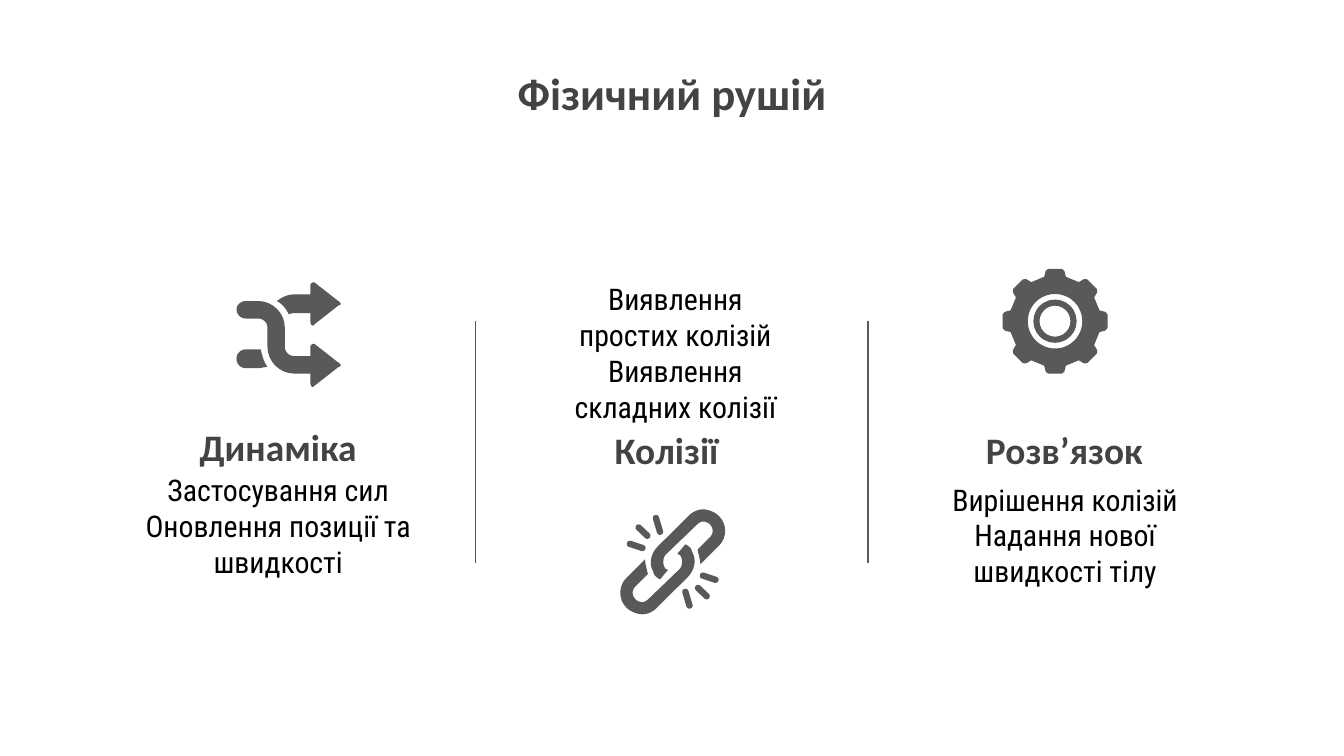
import math
from dataclasses import dataclass
from typing import Optional

from lxml import etree
from pptx import Presentation
from pptx.dml.color import RGBColor
from pptx.enum.shapes import MSO_CONNECTOR, MSO_SHAPE
from pptx.enum.text import MSO_ANCHOR, MSO_AUTO_SIZE, PP_ALIGN
from pptx.oxml.ns import qn
from pptx.util import Pt

STRAIGHT = MSO_CONNECTOR.STRAIGHT
DONUT = MSO_SHAPE.DONUT
TOP, BOTTOM = MSO_ANCHOR.TOP, MSO_ANCHOR.BOTTOM
CENTER = PP_ALIGN.CENTER
NO_AUTOFIT = MSO_AUTO_SIZE.NONE
COMPARISON_LAYOUT = 4


@dataclass(frozen=True)
class TextStyle:
    font: str
    size: float
    color: RGBColor
    bold: bool
    anchor: MSO_ANCHOR


@dataclass(frozen=True)
class Theme:
    icon = RGBColor(0x59, 0x59, 0x59)
    heading_color = RGBColor(0x43, 0x43, 0x43)
    title = TextStyle("Calibri", 24, heading_color, True, TOP)
    heading = TextStyle("Calibri", 20, heading_color, True, BOTTOM)
    body = TextStyle("Roboto Condensed", 16, RGBColor(0, 0, 0), False, TOP)
    divider_width = 0.75
    inset = 7.2


@dataclass(frozen=True)
class Box:
    left: float
    top: float
    width: float
    height: float


@dataclass(frozen=True)
class Column:
    heading: str
    heading_box: Box
    paragraphs: tuple
    body_box: Box
    heading_slot: Optional[int] = None
    body_slot: Optional[int] = None


THEME = Theme()
COLUMNS = (
    Column("Динаміка", Box(43.9, 224.6, 210.2, 33.8),
           ("Застосування сил\nОновлення позиції та швидкості",),
           Box(68.4, 245.5, 161.3, 79.2), 1, 2),
    Column("Колізії", Box(252, 226.1, 210.2, 33.8),
           ("Виявлення\nпростих колізій", "Виявлення\nскладних колізії"),
           Box(270.7, 143.3, 182.2, 82.1), 3, 4),
    Column("Розв’язок", Box(465.1, 226.1, 210.2, 33.8),
           ("Вирішення колізій", "Надання нової швидкості тілу"),
           Box(483.1, 250.6, 175, 79.2)),
)
DIVIDERS_X, DIVIDER_TOP, DIVIDER_BOTTOM = (254.9, 465.1), 172.1, 301.7

# Outlines are in points from the icon's centre: pairs are corners, sixes are cubic curves.
SHUFFLE_CENTER = (154.8, 179.3)
ARROW_HEAD = (
    (11.5, 25.9), (11.5, 27.4, 12.2, 28.1, 13, 28.1), (13.7, 27.4),
    (26.6, 17.3), (28.1, 17.3, 28.1, 15.8, 26.6, 15.1),
    (13.7, 5), (13, 5), (12.2, 5, 11.5, 5.8, 11.5, 6.5),
)
UPPER_HEAD = tuple(tuple(v - 33 * (i % 2) for i, v in enumerate(step)) for step in ARROW_HEAD)
SHUFFLE = (
    ((-23, -18), (-25.9, -18, -28.1, -15.8, -28.1, -13.7),
     (-28.1, -10.8, -25.9, -8.6, -23, -8.6), (-16.6, -8.6),
     (-13.7, -8.6, -11.5, -6.5, -11.5, -3.6), (-11.5, 6.5),
     (-11.5, 14.4, -5, 20.9, 2.9, 20.9), (11.5, 20.9), *ARROW_HEAD,
     (11.5, 11.5), (2.9, 11.5), (0, 11.5, -2.2, 9.4, -2.2, 6.5),
     (-2.2, -3.6), (-2.2, -11.5, -8.6, -18, -16.6, -18)),
    ((-15.1, 7.9), (-23, 7.9), (-25.9, 7.9, -28.1, 10.1, -28.1, 13),
     (-28.1, 15.8, -25.9, 18, -23, 18), (-16.6, 18),
     (-15.1, 18, -13, 17.3, -11.5, 17.3), (-13.7, 14.4, -14.4, 10.8, -15.1, 7.9)),
    ((-6.5, -18), (-3.6, -16.6, -1.4, -13.7, 0, -10.8),
     (0.7, -11.5, 2.2, -11.5, 2.9, -11.5), (11.5, -11.5), *UPPER_HEAD,
     (11.5, -21.6), (2.9, -21.6), (-0.7, -21.6, -3.6, -20.2, -6.5, -18)),
)
CHAIN_CENTER = (360.4, 301)
CHAIN_LINK = (
    (16.2, -28.1), (13.3, -28.1, 10.4, -26.6, 8.3, -24.5), (-8.3, -7.9),
    (-11.2, -5, -12.6, 0, -11.2, 3.6), (-10.4, 5, -10.4, 5.8, -9.7, 7.2),
    (-9, 7.9, -8.3, 8.6, -6.8, 9.4), (-2.5, 4.3), (-4, 3.6),
    (-5.4, 1.4, -5.4, -1.4, -4, -3.6), (13.3, -20.2),
    (14, -20.9, 15.5, -21.6, 16.2, -21.6), (17.6, -21.6, 19.1, -20.9, 19.8, -20.2),
    (22, -18, 22, -15.1, 19.8, -13), (13.3, -6.5),
    (14, -3.6, 14.8, -0.7, 14.8, 1.4), (24.8, -8.6),
    (29.2, -13, 29.2, -20.2, 24.8, -24.5), (22.7, -26.6, 19.1, -28.1, 16.2, -28.1),
)
RAYS = (((13.6, 14), (18.2, 18.4)), ((16.2, 7.4), (22.9, 9.6)), ((6.8, 16.1), (9, 23.4)))
RAY_RADIUS = 1.7
GEAR_CENTER = (565.2, 172.1)
TOOTH = ((-5.8, -23.8), (-5, -27), (-3.6, -28.1), (3.6, -28.1), (5, -27), (5.8, -23.8))
TOOTH_COUNT = 8
GEAR_HOLE, RING_OUTER, RING_INNER = 14.6, 11.6, 8.3


def flatten(outline, steps: int = 8) -> list:
    """Turn corners and cubic curves into a list of points."""
    points = [outline[0]]
    for step in outline[1:]:
        if len(step) == 2:
            points.append(step)
            continue
        x0, y0 = points[-1]
        x1, y1, x2, y2, x3, y3 = step
        for t in (i / steps for i in range(1, steps + 1)):
            a, b, c, d = (1 - t) ** 3, 3 * t * (1 - t) ** 2, 3 * t * t * (1 - t), t ** 3
            points.append((a * x0 + b * x1 + c * x2 + d * x3, a * y0 + b * y1 + c * y2 + d * y3))
    return points


def arc(center: tuple, radius: float, start: float, sweep: float, steps: int) -> list:
    angles = (start + sweep * i / steps for i in range(steps + 1))
    return [(center[0] + radius * math.cos(a), center[1] + radius * math.sin(a)) for a in angles]


def capsule(start: tuple, end: tuple) -> list:
    angle = math.atan2(end[1] - start[1], end[0] - start[0]) + math.pi / 2
    return (arc(start, RAY_RADIUS, angle, math.pi, 8)
            + arc(end, RAY_RADIUS, angle + math.pi, math.pi, 8))


def rotate(points, angle: float) -> list:
    c, s = math.cos(angle), math.sin(angle)
    return [(x * c - y * s, x * s + y * c) for x, y in points]


def paint(shape):
    shape.shadow.inherit = False
    shape.fill.solid()
    shape.fill.fore_color.rgb = THEME.icon
    shape.line.fill.background()
    return shape


def draw_outline(slide, center: tuple, *contours):
    """Draw one filled freeform; contours after the first cut holes."""
    builder = None
    for contour in contours:
        placed = [(Pt(center[0] + x), Pt(center[1] + y)) for x, y in contour]
        if builder is None:
            builder = slide.shapes.build_freeform(*placed[0], scale=1.0)
        else:
            builder.move_to(*placed[0])
        builder.add_line_segments(placed[1:], close=True)
    return paint(builder.convert_to_shape())


def draw_shuffle(slide) -> None:
    parts = [draw_outline(slide, SHUFFLE_CENTER, flatten(outline)) for outline in SHUFFLE]
    slide.shapes.add_group_shape(parts)


def draw_chain(slide) -> None:
    halves = [capsule(*ray) for ray in RAYS] + [flatten(CHAIN_LINK)]
    parts = [draw_outline(slide, CHAIN_CENTER, rotate(half, angle))
             for angle in (0, math.pi) for half in halves]
    slide.shapes.add_group_shape(parts)


def draw_gear(slide) -> None:
    rim = [point for i in range(TOOTH_COUNT)
           for point in rotate(TOOTH, math.tau * i / TOOTH_COUNT)]
    wheel = draw_outline(slide, GEAR_CENTER, rim, arc((0, 0), GEAR_HOLE, 0, -math.tau, 48))
    x, y = GEAR_CENTER
    ring = paint(slide.shapes.add_shape(DONUT, Pt(x - RING_OUTER), Pt(y - RING_OUTER),
                                        Pt(2 * RING_OUTER), Pt(2 * RING_OUTER)))
    ring.adjustments[0] = (RING_OUTER - RING_INNER) / (2 * RING_OUTER)
    slide.shapes.add_group_shape([wheel, ring])


def write_text(slide, box: Box, paragraphs: tuple, style: TextStyle, slot: Optional[int]) -> None:
    """Fill the placeholder with index slot, or a new text box when there is none."""
    place = Pt(box.left), Pt(box.top), Pt(box.width), Pt(box.height)
    if slot is None:
        holder = slide.shapes.add_textbox(*place)
    else:
        holder = next(p for p in slide.placeholders if p.placeholder_format.idx == slot)
        holder.left, holder.top, holder.width, holder.height = place
    frame = holder.text_frame
    frame.word_wrap, frame.auto_size = True, NO_AUTOFIT
    frame.vertical_anchor = style.anchor
    frame.margin_left = frame.margin_right = Pt(THEME.inset)
    frame.margin_top = frame.margin_bottom = Pt(THEME.inset)
    for number, text in enumerate(paragraphs):
        paragraph = frame.add_paragraph() if number else frame.paragraphs[0]
        paragraph.alignment = CENTER
        paragraph.space_before = paragraph.space_after = Pt(0)
        paragraph.line_spacing = 1.0
        properties = paragraph._p.get_or_add_pPr()
        properties.set("marL", "0")
        properties.set("indent", "0")
        etree.SubElement(properties, qn("a:buNone"))
        for line_number, line in enumerate(text.split("\n")):
            if line_number:
                paragraph.add_line_break()
            run = paragraph.add_run()
            run.text = line
            run.font.name, run.font.size = style.font, Pt(style.size)
            run.font.bold, run.font.color.rgb = style.bold, style.color


def draw_divider(slide, x: float) -> None:
    divider = slide.shapes.add_connector(STRAIGHT, Pt(x), Pt(DIVIDER_TOP), Pt(x), Pt(DIVIDER_BOTTOM))
    divider.line.color.rgb = THEME.icon
    divider.line.width = Pt(THEME.divider_width)
    etree.SubElement(divider._element.spPr, qn("a:effectLst"))


def main() -> None:
    deck = Presentation()
    deck.slide_width, deck.slide_height = Pt(720), Pt(405)
    slide = deck.slides.add_slide(deck.slide_layouts[COMPARISON_LAYOUT])
    write_text(slide, Box(154.8, 28.1, 410.4, 74.2), ("Фізичний рушій",), THEME.title, 0)
    for column in COLUMNS:
        write_text(slide, column.heading_box, (column.heading,), THEME.heading, column.heading_slot)
        write_text(slide, column.body_box, column.paragraphs, THEME.body, column.body_slot)
    for x in DIVIDERS_X:
        draw_divider(slide, x)
    draw_chain(slide)
    draw_shuffle(slide)
    draw_gear(slide)
    deck.save("out.pptx")


if __name__ == "__main__":
    main()
